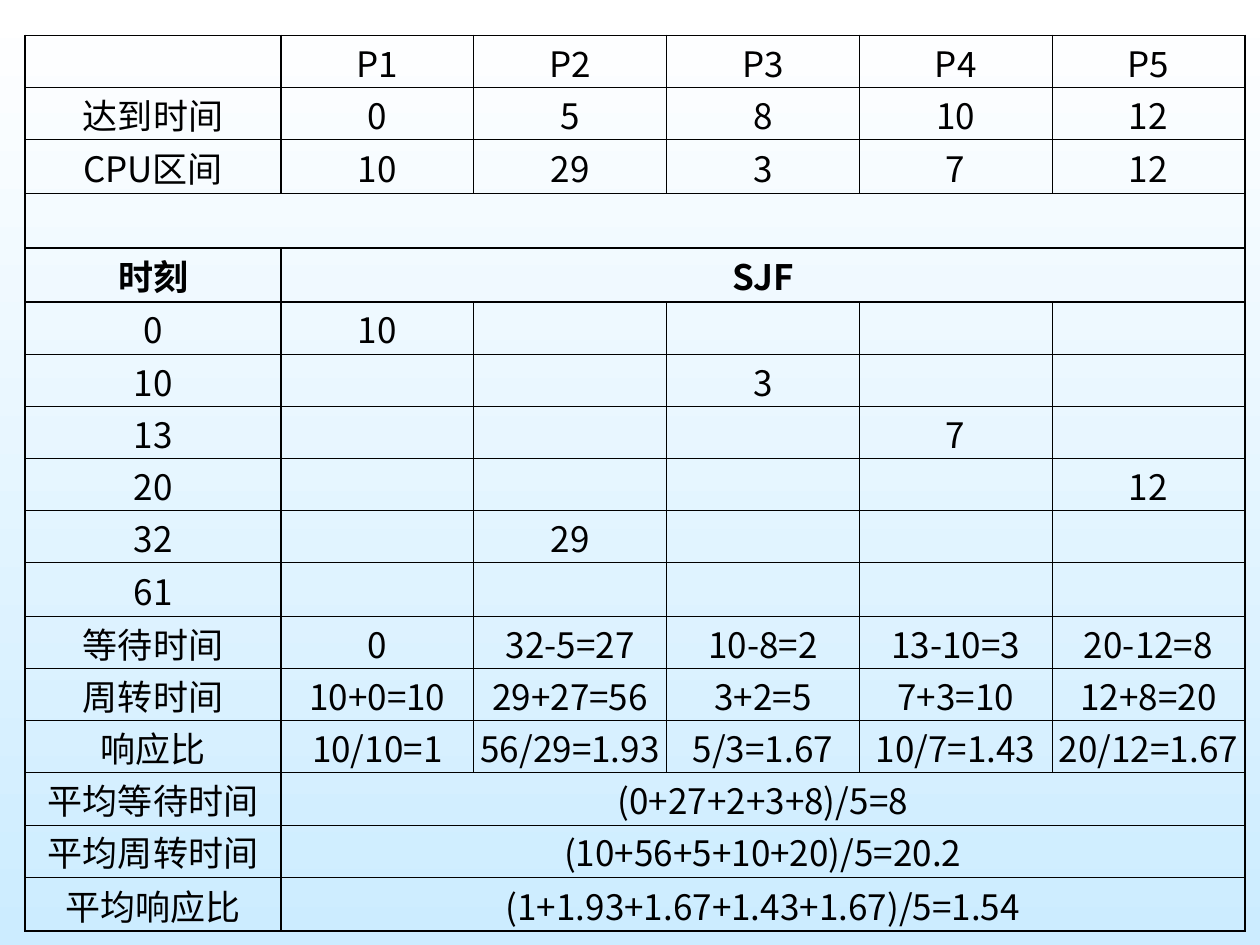
import pptx
import pptx.util
import pptx.dml.color
import pptx.enum.text
import pptx.oxml.ns
from dataclasses import dataclass
from lxml import etree


@dataclass(frozen=True)
class Theme:
    font: str = "Noto Sans CJK SC"
    size: int = 20
    ink: str = "000000"
    top: str = "FFFFFF"
    bottom: str = "CCECFF"
    thin: float = 0.5
    thick: float = 1


THEME = Theme()
WIDTH, HEIGHT = pptx.util.Inches(10), pptx.util.Inches(7.5)
TABLE_BOX = (0.02, 0.0373, 0.968, 0.943)
COLUMN_SHARES = [2.03] + [1.53] * 5
TALL_ROWS = {2, 3, 4, 10, 16}
ROW_SHARES = [0.43 if i in TALL_ROWS else 0.41 for i in range(17)]
THICK_ROW_LINES = {0, 3, 4, 5, 11, 17}
THICK_COLUMN_LINES = {0, 1, 6}
BOLD_ROW = 4

PROCESSES = [
    ["", "P1", "P2", "P3", "P4", "P5"],
    ["达到时间", "0", "5", "8", "10", "12"],
    ["CPU区间", "10", "29", "3", "7", "12"],
]
SCHEDULE = [
    ["0", "10", "", "", "", ""],
    ["10", "", "", "3", "", ""],
    ["13", "", "", "", "7", ""],
    ["20", "", "", "", "", "12"],
    ["32", "", "29", "", "", ""],
    ["61", "", "", "", "", ""],
]
RESULTS = [
    ["等待时间", "0", "32-5=27", "10-8=2", "13-10=3", "20-12=8"],
    ["周转时间", "10+0=10", "29+27=56", "3+2=5", "7+3=10", "12+8=20"],
    ["响应比", "10/10=1", "56/29=1.93", "5/3=1.67", "10/7=1.43", "20/12=1.67"],
]
AVERAGES = [
    ["平均等待时间", "(0+27+2+3+8)/5=8"],
    ["平均周转时间", "(10+56+5+10+20)/5=20.2"],
    ["平均响应比", "(1+1.93+1.67+1.43+1.67)/5=1.54"],
]
ROWS = PROCESSES + [[""], ["时刻", "SJF"]] + SCHEDULE + RESULTS + AVERAGES


def add_xml(parent, tag, **attributes):
    return etree.SubElement(parent, pptx.oxml.ns.qn(tag), attributes)


def fill_background(s):
    fill = s.background.fill
    fill.gradient()
    fill.gradient_angle = 270
    for stop, color, position in zip(fill.gradient_stops, (THEME.top, THEME.bottom), (0, 1)):
        stop.color.rgb = pptx.dml.color.RGBColor.from_string(color)
        stop.position = position


def write_cell(cell, text, bold):
    cell.vertical_anchor = pptx.enum.text.MSO_ANCHOR.MIDDLE
    cell.margin_left = cell.margin_right = cell.margin_top = pptx.util.Inches(0.01)
    cell.margin_bottom = 0
    p = cell.text_frame.paragraphs[0]
    p.alignment = pptx.enum.text.PP_ALIGN.CENTER
    if not text:
        add_xml(p._p, "a:endParaRPr", sz=str(THEME.size * 100))
        return
    r = p.add_run()
    r.text = text
    r.font.size = pptx.util.Pt(THEME.size)
    r.font.bold = bold
    r.font.name = THEME.font
    r.font.color.rgb = pptx.dml.color.RGBColor.from_string(THEME.ink)
    add_xml(r._r.get_or_add_rPr(), "a:ea", typeface=THEME.font)


def draw_borders(cell, row, column, last_column):
    edges = {
        "a:lnL": column in THICK_COLUMN_LINES,
        "a:lnR": last_column + 1 in THICK_COLUMN_LINES,
        "a:lnT": row in THICK_ROW_LINES,
        "a:lnB": row + 1 in THICK_ROW_LINES,
    }
    for tag, is_thick in edges.items():
        width = pptx.util.Pt(THEME.thick if is_thick else THEME.thin)
        line = add_xml(cell._tc.get_or_add_tcPr(), tag, w=str(int(width)))
        add_xml(add_xml(line, "a:solidFill"), "a:srgbClr", val=THEME.ink)


def add_schedule_table(s, box):
    left, top, width, height = box
    frame = s.shapes.add_table(len(ROWS), len(COLUMN_SHARES), left, top, width, height)
    table = frame.table
    table.first_row = table.horz_banding = False
    for column, share in zip(table.columns, COLUMN_SHARES):
        column.width = int(width * share / sum(COLUMN_SHARES))
    for row, share in zip(table.rows, ROW_SHARES):
        row.height = int(height * share / sum(ROW_SHARES))
    last = len(COLUMN_SHARES) - 1
    for i, texts in enumerate(ROWS):
        merge_start = len(texts) - 1
        if merge_start < last:
            table.cell(i, merge_start).merge(table.cell(i, last))
        for j in range(last + 1):
            cell = table.cell(i, j)
            write_cell(cell, texts[j] if j < len(texts) else "", i == BOLD_ROW)
            first, end = (merge_start, last) if j >= merge_start else (j, j)
            draw_borders(cell, i, first, end)
            cell.fill.background()


def main():
    prs = pptx.Presentation()
    prs.slide_width, prs.slide_height = WIDTH, HEIGHT
    s = prs.slides.add_slide(prs.slide_layouts[6])
    fill_background(s)
    box = [int(share * side) for share, side in zip(TABLE_BOX, (WIDTH, HEIGHT) * 2)]
    add_schedule_table(s, box)
    prs.save("out.pptx")


if __name__ == "__main__":
    main()
